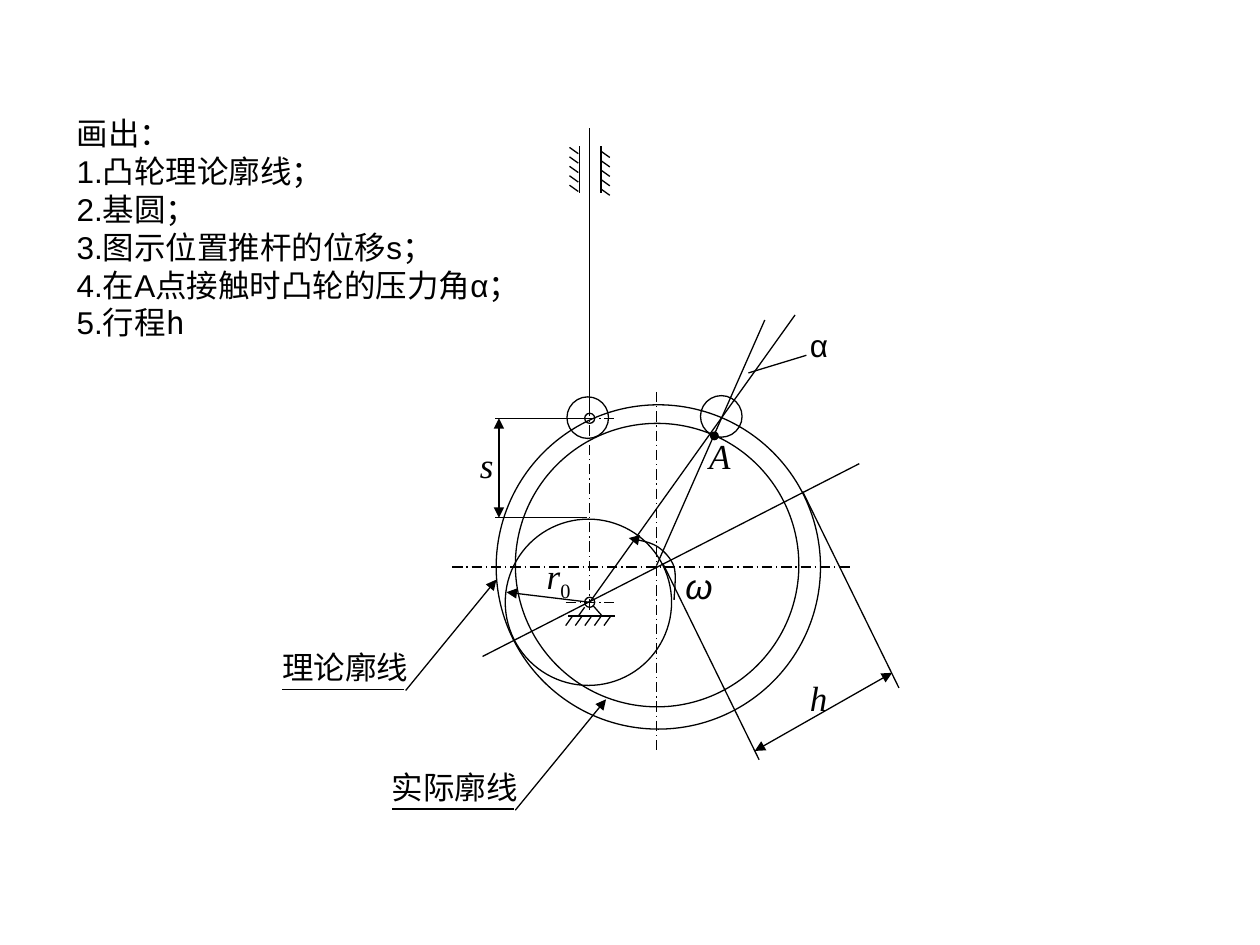
from dataclasses import dataclass

import pptx
import pptx.dml.color
import pptx.enum.dml
import pptx.enum.shapes
import pptx.enum.text
import pptx.oxml.ns
import pptx.util
from lxml import etree

COLUMNS, ROWS = 100, 75
CELL = pptx.util.Inches(10) // COLUMNS
BLACK = "000000"
SANS, SERIF, MONO = "Arial", "Times New Roman", "DejaVu Sans Mono"


def colour(value):
    return pptx.dml.color.RGBColor.from_string(value)


def style_line(shape, dashed=False, head=False, tail=False):
    shape.line.color.rgb = colour(BLACK)
    shape.line.width = pptx.util.Pt(0.75)
    if dashed:
        shape.line.dash_style = pptx.enum.dml.MSO_LINE.LONG_DASH_DOT
    properties = shape.line._get_or_add_ln()
    for name, wanted in (("a:headEnd", head), ("a:tailEnd", tail)):
        if wanted:
            etree.SubElement(properties, pptx.oxml.ns.qn(name), type="triangle")


@dataclass
class Box:
    """A region of the slide; its parts are placed in grid cells from its corner."""
    slide: object
    left: float
    top: float
    width: float
    height: float

    def place(self, x, y):
        return round((self.left + x) * CELL), round((self.top + y) * CELL)


def add_line(box, start, end, **style):
    line = box.slide.shapes.add_connector(
        pptx.enum.shapes.MSO_CONNECTOR.STRAIGHT, *box.place(*start), *box.place(*end))
    style_line(line, **style)
    etree.SubElement(line._element.spPr, pptx.oxml.ns.qn("a:effectLst"))


def add_circle(box, centre, radius, filled=False):
    x, y = centre
    diameter = round(2 * radius * CELL)
    circle = box.slide.shapes.add_shape(
        pptx.enum.shapes.MSO_SHAPE.OVAL, *box.place(x - radius, y - radius), diameter, diameter)
    circle.shadow.inherit = False
    if filled:
        circle.fill.solid()
        circle.fill.fore_color.rgb = colour(BLACK)
    else:
        circle.fill.background()
    style_line(circle)


def add_hatching(box, start, step, stroke, count=5):
    for i in range(count):
        x, y = start[0] + i * step[0], start[1] + i * step[1]
        add_line(box, (x, y), (x + stroke[0], y + stroke[1]))


def add_run(paragraph, text, size=18, font=SANS, italic=False):
    run = paragraph.add_run()
    run.text = text
    run.font.size = pptx.util.Pt(size)
    run.font.name = font
    run.font.italic = italic
    run.font.color.rgb = colour(BLACK)
    return run


def add_text(box, position, extent, lines, wrap=False, **font_format):
    width, height = (round(length * CELL) for length in extent)
    text_box = box.slide.shapes.add_textbox(*box.place(*position), width, height)
    frame = text_box.text_frame
    frame.word_wrap = wrap
    frame.auto_size = pptx.enum.text.MSO_AUTO_SIZE.SHAPE_TO_FIT_TEXT
    for i, line in enumerate(lines):
        paragraph = frame.add_paragraph() if i else frame.paragraphs[0]
        add_run(paragraph, line, **font_format)
    return paragraph


def add_symbol(box, position, width, symbol, font=SERIF, height=4.4):
    return add_text(box, position, (width, height), [symbol], size=20, font=font, italic=True)


def bezier(start, control_1, control_2, end, steps=10):
    for i in range(1, steps + 1):
        t = i / steps
        weights = ((1 - t) ** 3, 3 * t * (1 - t) ** 2, 3 * t * t * (1 - t), t ** 3)
        points = (start, control_1, control_2, end)
        yield tuple(sum(w * p[axis] for w, p in zip(weights, points)) for axis in (0, 1))


def draw_question(box):
    last = add_text(box, (0, 0), (box.width, box.height),
                    ["画出：", "1.凸轮理论廓线；", "2.基圆；", "3.图示位置推杆的位移s；",
                     "4.在A点接触时凸轮的压力角α；", "5.行程"], wrap=True)
    add_run(last, "h", font=MONO)


def draw_cam(box):
    middle_x, middle_y = 16.2, 13.9
    add_circle(box, (middle_x + 0.05, middle_y - 0.15), 11.25)
    add_circle(box, (middle_x + 0.15, middle_y), 12.87)
    # Centre lines
    add_line(box, (0, middle_y), (box.width, middle_y), dashed=True)
    add_line(box, (middle_x, 0), (middle_x, box.height), dashed=True)


def draw_follower(box):
    """Rod, its hatched guide and its roller."""
    rod, left_wall, right_wall = 1.6, 0.8, 2.5
    add_line(box, (rod, 22.5), (rod, 0))
    for wall in (left_wall, right_wall):
        add_line(box, (wall, 5.1), (wall, 1.4))
    add_hatching(box, (0, 1.5), (0, 0.75), (0.7, 0.5))
    add_hatching(box, (right_wall, 1.8), (0, 0.75), (0.7, 0.5))
    add_circle(box, (rod - 0.15, 22.95), 1.65)
    add_circle(box, (rod, 23), 0.4)
    add_line(box, (rod - 1.9, 23), (rod + 1.9, 23), dashed=True)
    add_line(box, (rod, 38.2), (rod, 22.3), dashed=True)


def draw_pivot(box):
    """Base circle with its radius, and the fixed bearing of the cam."""
    x, y = 6.7, 6.6
    add_circle(box, (x - 0.1, y), 6.6)
    add_circle(box, (x, y), 0.4)
    add_line(box, (x - 1.9, y), (x + 1.9, y), dashed=True)
    # Bearing
    add_line(box, (x + 0.3, y + 0.3), (x + 1, y + 1.1))
    add_line(box, (x - 0.4, y + 0.4), (x - 0.9, y + 1.1))
    add_line(box, (x - 1.7, y + 1.1), (x + 2, y + 1.1))
    add_hatching(box, (x - 1.4, y + 1.15), (0.76, 0), (-0.5, 0.7))
    # Radius
    add_line(box, (x, y), (0.1, 5.8), tail=True)
    label = add_symbol(box, (2.3, 2.3), 3.9, "r", height=4.8)
    index = add_run(label, "0", size=20, font=SERIF)
    index.font._element.set("baseline", "-25000")


def draw_rotation(box):
    curve = [(0.5, 0)]
    curve += bezier((0.5, 0), (1.4, 0.2), (2.2, 0.3), (2.8, 0.7))
    curve += bezier((2.8, 0.7), (3.4, 1.1), (3.9, 1.7), (4.1, 2.3))
    curve += bezier((4.1, 2.3), (4.3, 3), (4.1, 4.4), (4.1, 4.9))
    points = [box.place(*point) for point in curve]
    builder = box.slide.shapes.build_freeform(*points[0])
    builder.add_line_segments(points[1:], close=False)
    arc = builder.convert_to_shape()
    arc.shadow.inherit = False
    arc.fill.background()
    style_line(arc, head=True)
    add_symbol(box, (4, 1.6), 3.9, "ω", font=SANS)


def draw_contact(box):
    """Second roller position, contact point A and pressure angle."""
    add_circle(box, (10.45, 8.05), 1.65)
    add_circle(box, (9.9, 9.6), 0.3, filled=True)
    add_symbol(box, (8.5, 9), 3.7, "A")
    add_line(box, (5.3, 19.9), (13.9, 0.4))
    add_line(box, (0, 22.8), (16.3, 0))
    add_line(box, (12.6, 4.6), (17.2, 3.2))
    add_text(box, (16.5, 0.4), (3.6, 4), ["α"])


def draw_stroke(box):
    """Line of centres and the dimension h."""
    add_line(box, (29.9, 0), (0, 15.3))
    for x, y in ((14.3, 7.9), (25.4, 2.2)):
        add_line(box, (x, y), (x + 7.65, y + 15.6))
    add_line(box, (21.6, 22.8), (32.5, 16.6), head=True, tail=True)
    add_symbol(box, (25, 16.4), 3.4, "h")


def draw_displacement(box):
    """The dimension s."""
    for y in (0, box.height):
        add_line(box, (box.width, y), (2.15, y))
    add_line(box, (2.5, 0), (2.5, box.height), head=True, tail=True)
    add_symbol(box, (0, 1.5), 3.1, "s")


def draw_callout(box, text):
    add_line(box, (18, 0), (10.8, 8.8), head=True)
    add_line(box, (10.7, 8.7), (1, 8.7))
    add_text(box, (0, 4.95), (12, 4), [text])


def main():
    presentation = pptx.Presentation()
    presentation.slide_width = COLUMNS * CELL
    presentation.slide_height = ROWS * CELL
    slide = presentation.slides.add_slide(presentation.slide_layouts[6])
    draw_cam(Box(slide, 35.9, 31.1, 31.7, 28.4))
    draw_follower(Box(slide, 45.2, 10.2, 3.3, 38.2))
    draw_pivot(Box(slide, 40.1, 41.2, 13.2, 13.2))
    draw_rotation(Box(slide, 49.4, 42.7, 7.9, 6))
    draw_contact(Box(slide, 46.8, 25, 20.1, 22.8))
    draw_stroke(Box(slide, 38.3, 36.8, 33, 23.5))
    draw_displacement(Box(slide, 37.1, 33.2, 9.5, 7.9))
    draw_callout(Box(slide, 30.1, 55.5, 18, 8.9), "实际廓线")
    draw_callout(Box(slide, 21.4, 46, 18, 8.9), "理论廓线")
    draw_question(Box(slide, 5.1, 8.6, 37.5, 28))
    presentation.save("out.pptx")


if __name__ == "__main__":
    main()
